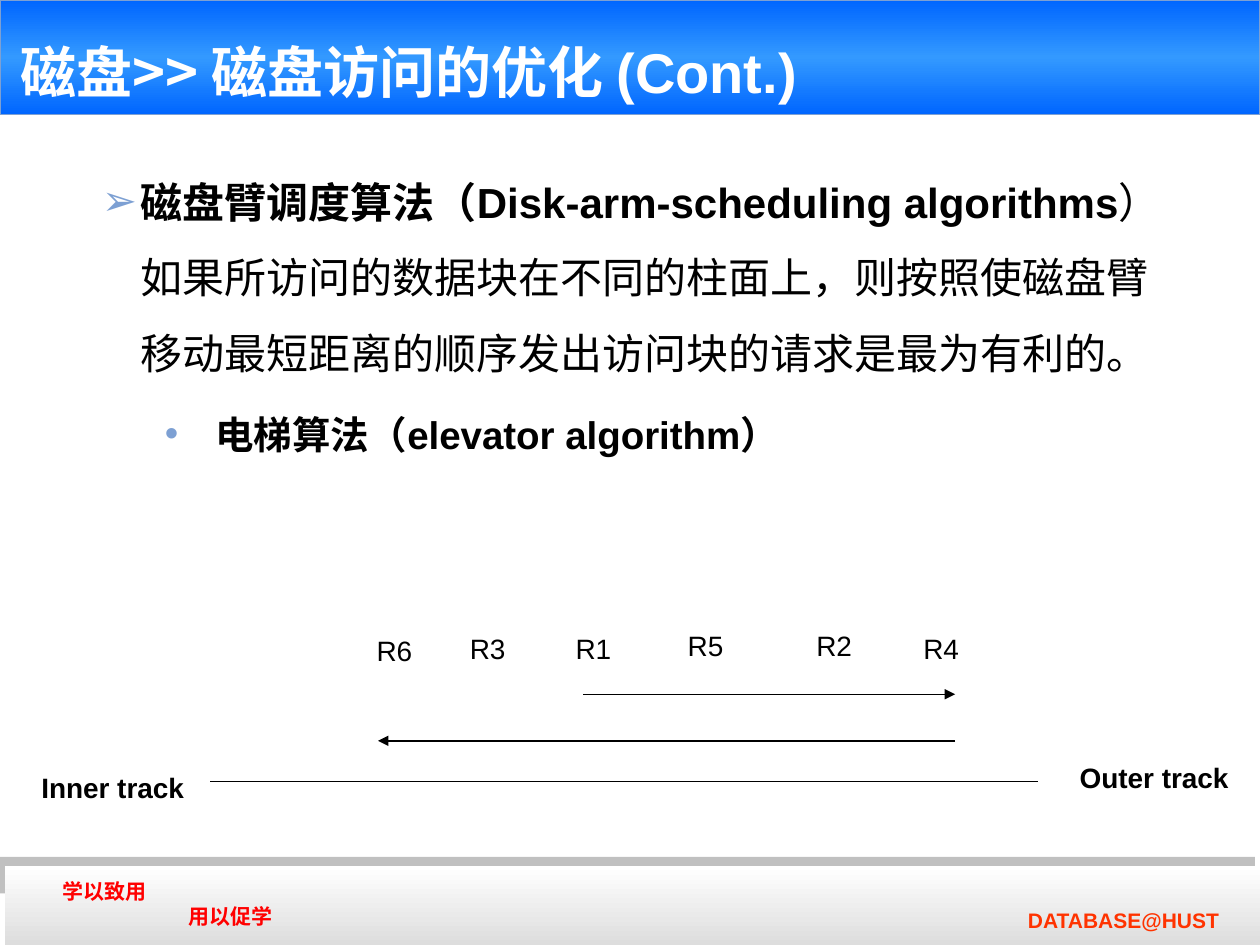
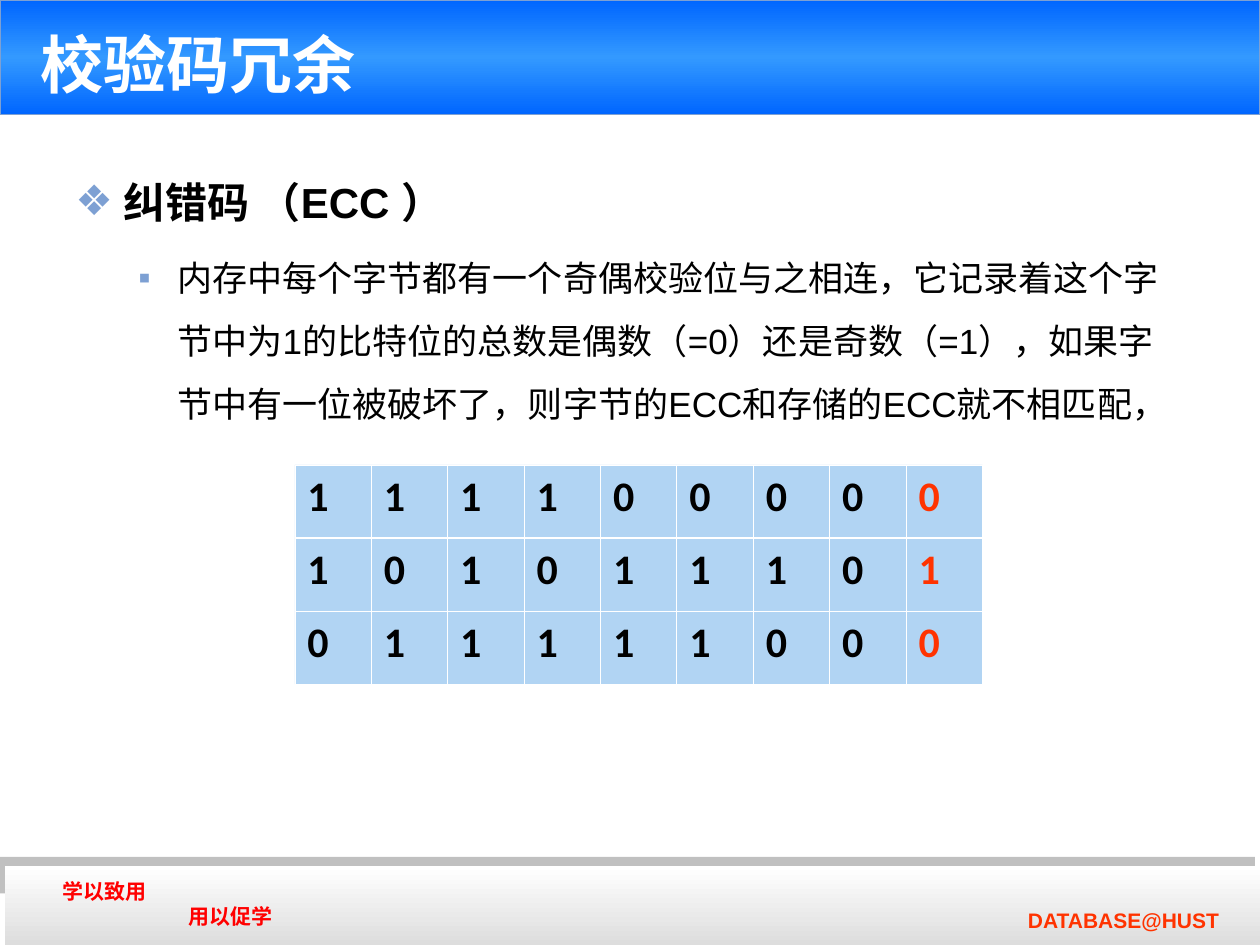
from dataclasses import dataclass

from lxml.etree import SubElement
from pptx import Presentation
from pptx.dml.color import RGBColor
from pptx.enum.shapes import MSO_CONNECTOR, MSO_SHAPE
from pptx.enum.text import MSO_ANCHOR as ANCHOR, MSO_AUTO_SIZE as AUTO, PP_ALIGN as ALIGN
from pptx.oxml.ns import qn
from pptx.util import Inches, Pt


@dataclass(frozen=True)
class Theme:
    latin: str = "Arial"
    cjk: str = "Noto Sans CJK SC"
    digits: str = "Calibri"
    black: str = "000000"
    white: str = "FFFFFF"
    motto: str = "FF0000"
    accent: str = "FF3300"
    bullet: str = "7DA0D3"
    shade: str = "C0C0C0"
    cell: str = "65AAE9"
    banner: tuple = ((0, "0066FF"), (50, "3399FF"), (100, "0066FF"))
    footer: tuple = ((0, "FFFFFF"), (100, "DDDDDD"))
    heading: int = 24
    subheading: int = 22
    body: int = 20
    label: int = 16
    small: int = 12


T = Theme()


def rgb(color):
    return RGBColor.from_string(color)


def add_run(p, text, size, color=T.black, bold=False, font=T.latin):
    r = p.add_run()
    r.text = text
    r.font.size, r.font.bold, r.font.name = Pt(size), bold, font
    r.font.color.rgb = rgb(color)
    SubElement(r._r.get_or_add_rPr(), qn("a:ea"), typeface=T.cjk)


def indent(p, left, first=0):
    pPr = p._p.get_or_add_pPr()
    pPr.set("marL", str(Inches(left)))
    pPr.set("indent", str(Inches(first)))
    return pPr


def add_bullet(p, char, left, hang):
    pPr = indent(p, left, -hang)
    SubElement(SubElement(pPr, qn("a:buClr")), qn("a:srgbClr"), val=T.bullet)
    SubElement(pPr, qn("a:buFont"), typeface=T.latin)
    SubElement(pPr, qn("a:buChar"), char=char)


def add_text_box(slide, x, y, w, h, wrap=True):
    box = slide.shapes.add_textbox(Inches(x), Inches(y), Inches(w), Inches(h))
    box.text_frame.word_wrap = wrap
    return box.text_frame


def add_label(slide, text, x, y, w, bold=False):
    tf = add_text_box(slide, x, y, w, 0.37, wrap=False)
    add_run(tf.paragraphs[0], text, T.label, bold=bold)


def add_body(slide, x, y, w, h, items):
    """Each item is (level, bullet, left, hang, space before, runs); a run is (text, size, bold)."""
    tf = add_text_box(slide, x, y, w, h)
    for i, (level, char, left, hang, before, runs) in enumerate(items):
        p = tf.add_paragraph() if i else tf.paragraphs[0]
        p.level = level
        add_bullet(p, char, left, hang)
        p.line_spacing = 1.5
        p.space_before = Pt(before)
        for text, size, bold in runs:
            add_run(p, text, size, bold=bold)


def add_band(slide, x, y, w, h, color=None, stops=(), line=None):
    """A plain band, or one that shades from top to bottom through stops."""
    sp = slide.shapes.add_shape(MSO_SHAPE.RECTANGLE, Inches(x), Inches(y), Inches(w), Inches(h))
    sp.shadow.inherit = False
    if stops:
        sp.fill.gradient()
        sp.fill.gradient_angle = 270
        gradient = sp._element.spPr.find(".//" + qn("a:gsLst"))
        gradient.clear()
        for pos, stop in stops:
            gs = SubElement(gradient, qn("a:gs"), pos=str(pos * 1000))
            SubElement(gs, qn("a:srgbClr"), val=stop)
    else:
        sp.fill.solid()
        sp.fill.fore_color.rgb = rgb(color)
    if line:
        sp.line.color.rgb = rgb(line)
        sp.line.width = Pt(0.75)
    else:
        sp.line.fill.background()


def add_line(slide, x1, x2, y, arrow=False):
    line = slide.shapes.add_connector(
        MSO_CONNECTOR.STRAIGHT, Inches(x1), Inches(y), Inches(x2), Inches(y))
    line.line.color.rgb = rgb(T.black)
    line.line.width = Pt(0.75)
    if arrow:
        SubElement(line.line._get_or_add_ln(), qn("a:tailEnd"), type="triangle")
    SubElement(line._element.spPr, qn("a:effectLst"))


def add_footer(slide):
    add_band(slide, 0, 6.8, 9.96, 0.29, color=T.shade)
    add_band(slide, 0.04, 6.87, 9.96, 0.63, stops=T.footer)
    tf = add_text_box(slide, 0.4, 6.92, 2, 0.5)
    add_run(tf.paragraphs[0], "学以致用", T.small, T.motto, True)
    p = tf.add_paragraph()
    indent(p, 1)
    add_run(p, "用以促学", T.small, T.motto, True)
    p = add_text_box(slide, 7.56, 7.05, 2.32, 0.4).paragraphs[0]
    indent(p, 0.5)
    p.line_spacing = 1.5
    add_run(p, "DATABASE@HUST", T.small, T.accent, True)


def add_titled_slide(prs, place, anchor, size, runs):
    """Add a slide with the shared bands; runs are (text, font) parts of its title."""
    slide = prs.slides.add_slide(prs.slide_layouts[5])
    add_footer(slide)
    add_band(slide, 0, 0, 10, 0.91, stops=T.banner, line=T.bullet)
    title = slide.shapes.title
    title._element.getparent().append(title._element)  # in front of the banner
    title.left, title.top, title.width, title.height = map(Inches, place)
    tf = title.text_frame
    tf.auto_size, tf.word_wrap, tf.vertical_anchor = AUTO.NONE, True, anchor
    p = tf.paragraphs[0]
    p.alignment = ALIGN.LEFT
    for text, font in runs:
        add_run(p, text, size, T.white, True, font)
    return slide


def format_cell(cell, borders):
    """Half-transparent fill and white borders, given as side and width in points."""
    cell.fill.solid()
    cell.fill.fore_color.rgb = rgb(T.cell)
    tcPr = cell._tc.get_or_add_tcPr()
    SubElement(tcPr.find(".//" + qn("a:srgbClr")), qn("a:alpha"), val="50000")
    for i, (side, width) in enumerate(borders.items()):
        ln = tcPr.makeelement(qn("a:ln" + side), {"w": str(Pt(width))})
        SubElement(SubElement(ln, qn("a:solidFill")), qn("a:srgbClr"), val=T.white)
        tcPr.insert(i, ln)


def add_parity_table(slide, rows):
    """One byte a row, with its parity bit last and in the accent colour."""
    n_cols = len(rows[0])
    table = slide.shapes.add_table(
        len(rows), n_cols, Inches(2.34), Inches(3.69), Inches(5.46), Inches(1.74)).table
    table.first_row = table.horz_banding = False
    thin, thick = 0.45, 1.47
    for i, bits in enumerate(rows):
        borders = {"L": thin, "R": thin,
                   "T": thick if i == 1 else thin, "B": thick if i == 0 else thin}
        for j, bit in enumerate(bits):
            cell = table.cell(i, j)
            color = T.accent if j == n_cols - 1 else T.black
            add_run(cell.text_frame.paragraphs[0], bit, T.heading, color, True, T.digits)
            format_cell(cell, borders)


def build_elevator_slide(prs):
    slide = add_titled_slide(prs, (0.06, 0.21, 6.84, 0.67), ANCHOR.BOTTOM, 32,
                             [("磁盘>> ", T.cjk), ("磁盘访问的优化 (Cont.)", T.latin)])
    add_body(slide, 0.21, 1.15, 9.29, 3.16, [
        (1, "➢", 0.81, 0.31, 0, [
            ("磁盘臂调度算法（Disk-arm-scheduling algorithms", T.heading, True),
            ("） 如果所访问的数据块在不同的柱面上，则按照使磁盘臂移动最短距离的顺序"
             "发出访问块的请求是最为有利的。", T.heading, False)]),
        (2, "•", 1.4, 0.4, 5.5, [
            ("电梯算法（elevator algorithm）", T.subheading, True)]),
    ])
    requests = [("R6", 2.89, 4.98), ("R3", 3.63, 4.96), ("R1", 4.47, 4.96),
                ("R5", 5.36, 4.94), ("R2", 6.38, 4.94), ("R4", 7.23, 4.96)]
    for name, x, y in requests:
        add_label(slide, name, x, y, 0.48)
    add_line(slide, 4.63, 7.58, 5.51, arrow=True)
    add_line(slide, 7.58, 3, 5.88, arrow=True)
    add_line(slide, 1.67, 8.24, 6.2)
    add_label(slide, "Inner track", 0.23, 6.07, 1.34, bold=True)
    add_label(slide, "Outer track", 8.47, 5.99, 1.38, bold=True)


def build_parity_slide(prs):
    slide = add_titled_slide(prs, (0.22, 0.13, 9, 0.75), ANCHOR.MIDDLE, 36,
                             [("校验码冗余", T.latin)])
    add_body(slide, 0.5, 1.15, 8.95, 3.43, [
        (0, "❖", 0.38, 0.38, 0, [("纠错码 （ECC ）", T.heading, True)]),
        (1, "▪", 0.81, 0.31, 5, [
            ("内存中每个字节都有一个奇偶校验位与之相连，它记录着这个字节中为1的比特位的"
             "总数是偶数（=0）还是奇数（=1），如果字节中有一位被破坏了，则字节的ECC和"
             "存储的ECC就不相匹配，", T.body, False)]),
    ])
    add_parity_table(slide, ["111100000", "101011101", "011111000"])


def main():
    prs = Presentation()
    prs.slide_width, prs.slide_height = Inches(10), Inches(7.5)
    build_elevator_slide(prs)
    build_parity_slide(prs)
    prs.save("out.pptx")


if __name__ == "__main__":
    main()
